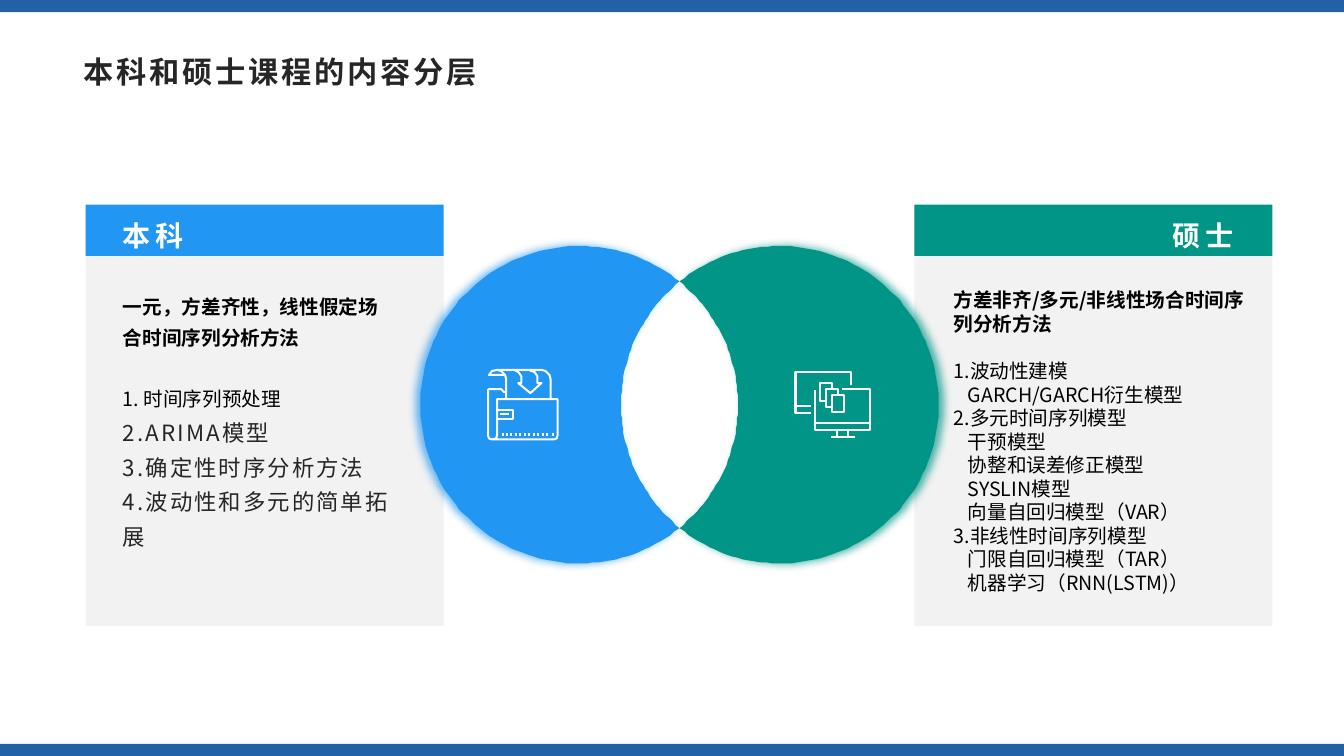
from math import acos, cos, pi, sin

from lxml.etree import SubElement
from pptx import Presentation
from pptx.dml.color import RGBColor
from pptx.enum.shapes import MSO_SHAPE as Shape
from pptx.enum.text import PP_ALIGN as Align
from pptx.oxml.ns import qn
from pptx.util import Pt

PX = 9144
WIDTH, HEIGHT = 1333, 750
FONT = "Noto Sans CJK SC"
NAVY = RGBColor(0x22, 0x61, 0xA6)
BLUE = RGBColor(0x21, 0x96, 0xF3)
GREEN = RGBColor(0x00, 0x95, 0x87)
GRAY = RGBColor(0xF2, 0xF2, 0xF2)
DARK = RGBColor(0x26, 0x26, 0x26)
BLACK = RGBColor(0, 0, 0)
WHITE = RGBColor(0xFF, 0xFF, 0xFF)

PLAIN = {"size": 14, "color": BLACK}
STRONG = {**PLAIN, "bold": True}
WIDE = {"size": 16, "color": DARK, "spacing": 1.5}
TITLE = {"size": 21.6, "color": DARK, "bold": True, "spacing": 2}
HEADING = {"size": 20, "color": WHITE, "bold": True, "spacing": 3}

BACHELOR = [
    ("一元，方差齐性，线性假定场合时间序列分析方法", STRONG, {"space_after": Pt(22)}),
    ("1. 时间序列预处理", PLAIN, {}),
    ("2.ARIMA模型", WIDE, {}),
    ("3.确定性时序分析方法", WIDE, {}),
    ("4.波动性和多元的简单拓展", WIDE, {}),
]
MASTER_TOPICS = [
    ("1.波动性建模", ["GARCH/GARCH衍生模型"]),
    ("2.多元时间序列模型", ["干预模型", "协整和误差修正模型", "SYSLIN模型", "向量自回归模型（VAR）"]),
    ("3.非线性时间序列模型", ["门限自回归模型（TAR）", "机器学习（RNN(LSTM)）"]),
]
MASTER = [("方差非齐/多元/非线性场合时间序列分析方法", STRONG, {"space_after": Pt(17)})]
for topic, methods in MASTER_TOPICS:
    MASTER.append((topic, PLAIN, {}))
    MASTER += [(method, PLAIN, {"indent": 14}) for method in methods]

WALLET = [
    [(1, 20), (1, 66), (2, 69), (5, 70), (66, 70), (69, 69), (70, 66),
     (70, 30), (10, 30), (10, 66), (9, 69), (5, 70)],
    [(1, 20), (14, 20), (17, 23), (19, 23)],
    [(18, 6), (2, 6), (5, 2), (10, 1), (54, 1), (58, 2), (62, 6), (63, 10), (63, 30)],
    [(10, 1), (14, 2), (18, 6), (19, 10), (19, 30)],
    [(27, 1), (31, 3), (34, 7), (34, 14), (31, 14), (43, 24), (54, 14),
     (50, 14), (50, 7), (47, 3), (41, 1)],
    [(10, 41), (26, 41), (26, 50), (10, 50)],
    [(13, 45), (22, 45)],
] + [[(16 + 49 * dot // 11, 64), (16 + 49 * dot // 11, 67)] for dot in range(12)]
SCREENS = [
    [(56, 14), (56, 1), (1, 1), (1, 42), (16, 42)],
    [(1, 35), (16, 35)],
    [(20, 19), (20, 59), (75, 59), (75, 18), (47, 18)],
    [(20, 52), (75, 52)],
    [(42, 59), (42, 66)],
    [(53, 59), (53, 66)],
    [(36, 66), (60, 66)],
    [(37, 24), (49, 24), (49, 41), (37, 41), (37, 24)],
    [(37, 36), (31, 36), (31, 18), (43, 18), (43, 24)],
    [(31, 30), (25, 30), (25, 12), (37, 12), (37, 18)],
]


def apply(target, formats):
    for name, value in formats.items():
        setattr(target, name, value)


def paint(shape, color):
    shape.shadow.inherit = False
    shape.fill.solid()
    shape.fill.fore_color.rgb = color
    shape.line.fill.background()


def add_rect(page, box, color):
    paint(page.shapes.add_shape(Shape.RECTANGLE, *[side * PX for side in box]), color)


def add_text(page, box, lines, **common):
    frame = page.shapes.add_textbox(*[side * PX for side in box]).text_frame
    frame.word_wrap = True
    for index, (words, style, layout) in enumerate(lines):
        para = frame.paragraphs[0] if index == 0 else frame.add_paragraph()
        layout = {**common, **layout}
        indent = layout.pop("indent", 0)
        apply(para, layout)
        if indent:
            para._p.get_or_add_pPr().set("marL", str(indent * PX))
        span = para.add_run()
        span.text = words
        apply(span.font, {"name": FONT, "size": Pt(style["size"]), "bold": style.get("bold", False)})
        span.font.color.rgb = style["color"]
        props = span._r.get_or_add_rPr()
        SubElement(props, qn("a:ea"), typeface=FONT)
        if "spacing" in style:
            props.set("spc", str(int(style["spacing"] * 100)))


def add_panel(page, box, color, heading, align, lines, body_left, body_width, line_spacing):
    left, top, width, height = box
    add_rect(page, (left, top + 3, width, height), GRAY)
    add_rect(page, (left, top, width, 51), color)
    add_text(page, (left + 27, top + 2, 299, 50), [(heading, HEADING, {})],
             alignment=align, line_spacing=line_spacing and 1.2)
    add_text(page, (left + body_left, top + 78, body_width, height - 100), lines,
             line_spacing=line_spacing)


def add_glow(shape, color, angle):
    effects = shape._element.spPr.find(qn("a:effectLst"))
    shadow = SubElement(effects, qn("a:outerShdw"), blurRad=str(Pt(6)), dist=str(Pt(3)),
                        dir=str(angle * 60000), algn="ctr", rotWithShape="0")
    tint = SubElement(shadow, qn("a:srgbClr"), val=str(color))
    SubElement(tint, qn("a:alpha"), val="70000")


def arc(center, radius, start, end, steps):
    angles = [start + (end - start) * step / steps for step in range(steps + 1)]
    return [(center[0] + radius * cos(angle), center[1] + radius * sin(angle)) for angle in angles]


def add_venn(page, box, color_pair):
    left, top, width, diameter = box
    radius = diameter / 2
    shift = width - diameter
    cut = acos(shift / diameter)
    for side, color in enumerate(color_pair):
        own = (left + radius + side * shift, top + radius)
        other = (left + radius + (1 - side) * shift, top + radius)
        turn = side * pi
        points = arc(own, radius, turn + cut, turn + 2 * pi - cut, 120)
        points += arc(other, radius, turn + pi + cut, turn + pi - cut, 60)
        builder = page.shapes.build_freeform(*points[0], scale=PX)
        builder.add_line_segments(points[1:], close=True)
        crescent = builder.convert_to_shape()
        paint(crescent, color)
        add_glow(crescent, color, 180 * (1 - side))


def add_icon(page, left, top, strokes):
    builder = page.shapes.build_freeform(*strokes[0][0], scale=PX)
    for index, points in enumerate(strokes):
        if index:
            builder.move_to(*points[0])
        builder.add_line_segments(points[1:], close=False)
    icon = builder.convert_to_shape(left * PX, top * PX)
    icon.shadow.inherit = False
    icon.fill.background()
    icon.line.color.rgb = WHITE
    icon.line.width = 2 * PX


def add_frame(page, title):
    for top in (HEIGHT - 12, 0):
        add_rect(page, (0, top, WIDTH, 12), NAVY)
    add_text(page, (73, 48, 1187, 48), [(title, TITLE, {})])


def main():
    deck = Presentation()
    apply(deck, {"slide_width": WIDTH * PX, "slide_height": HEIGHT * PX})
    page = deck.slides.add_slide(deck.slide_layouts[6])
    add_frame(page, "本科和硕士课程的内容分层")
    add_panel(page, (85, 203, 355, 415), BLUE, "本科", Align.LEFT, BACHELOR, 27, 288, 1.3)
    add_panel(page, (907, 203, 355, 415), GREEN, "硕士", Align.RIGHT, MASTER, 29, 318, 1.0)
    add_venn(page, (417, 244, 514, 315), (BLUE, GREEN))
    add_icon(page, 483, 366, WALLET)
    add_icon(page, 788, 368, SCREENS)
    deck.save("out.pptx")


if __name__ == "__main__":
    main()
